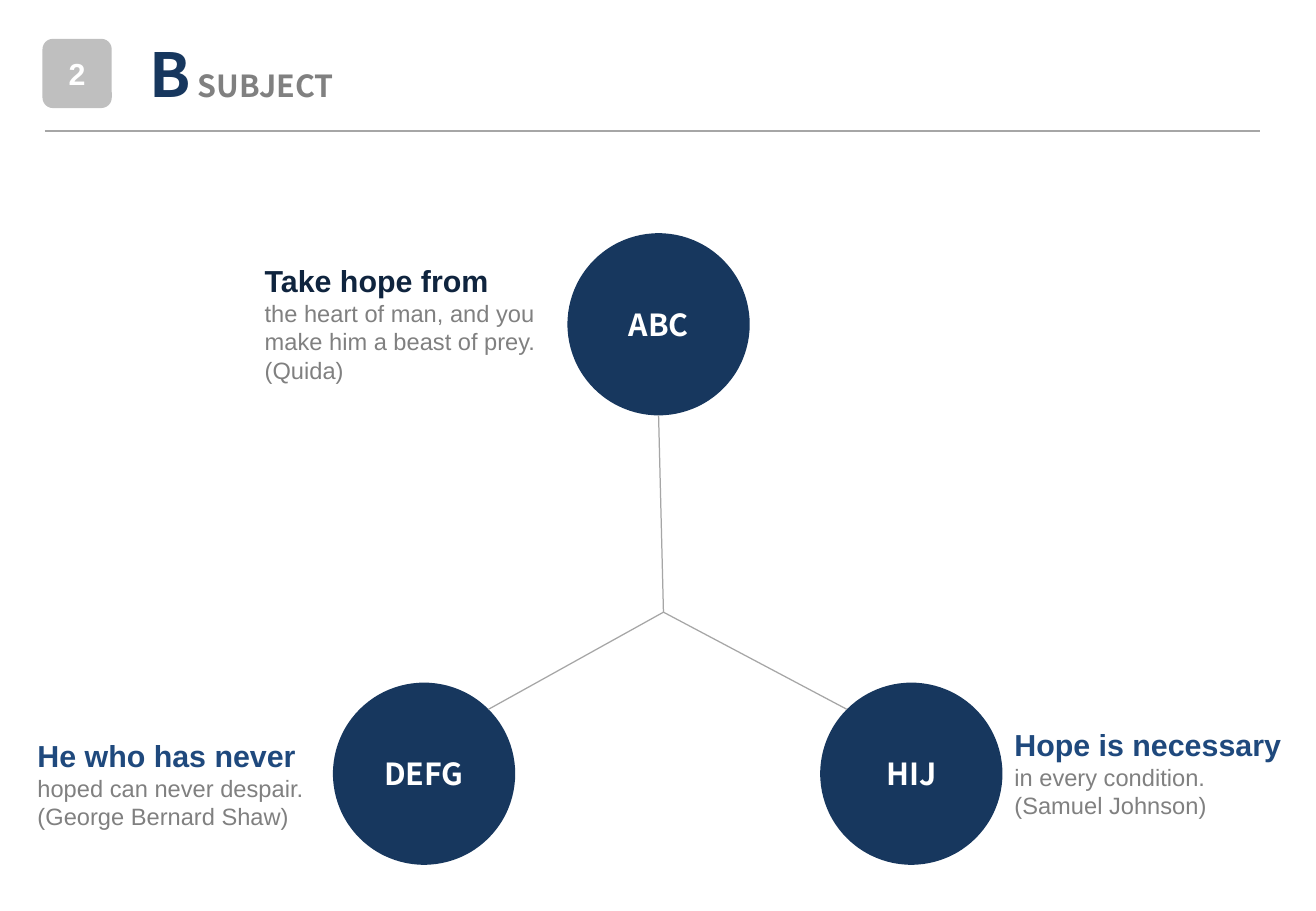
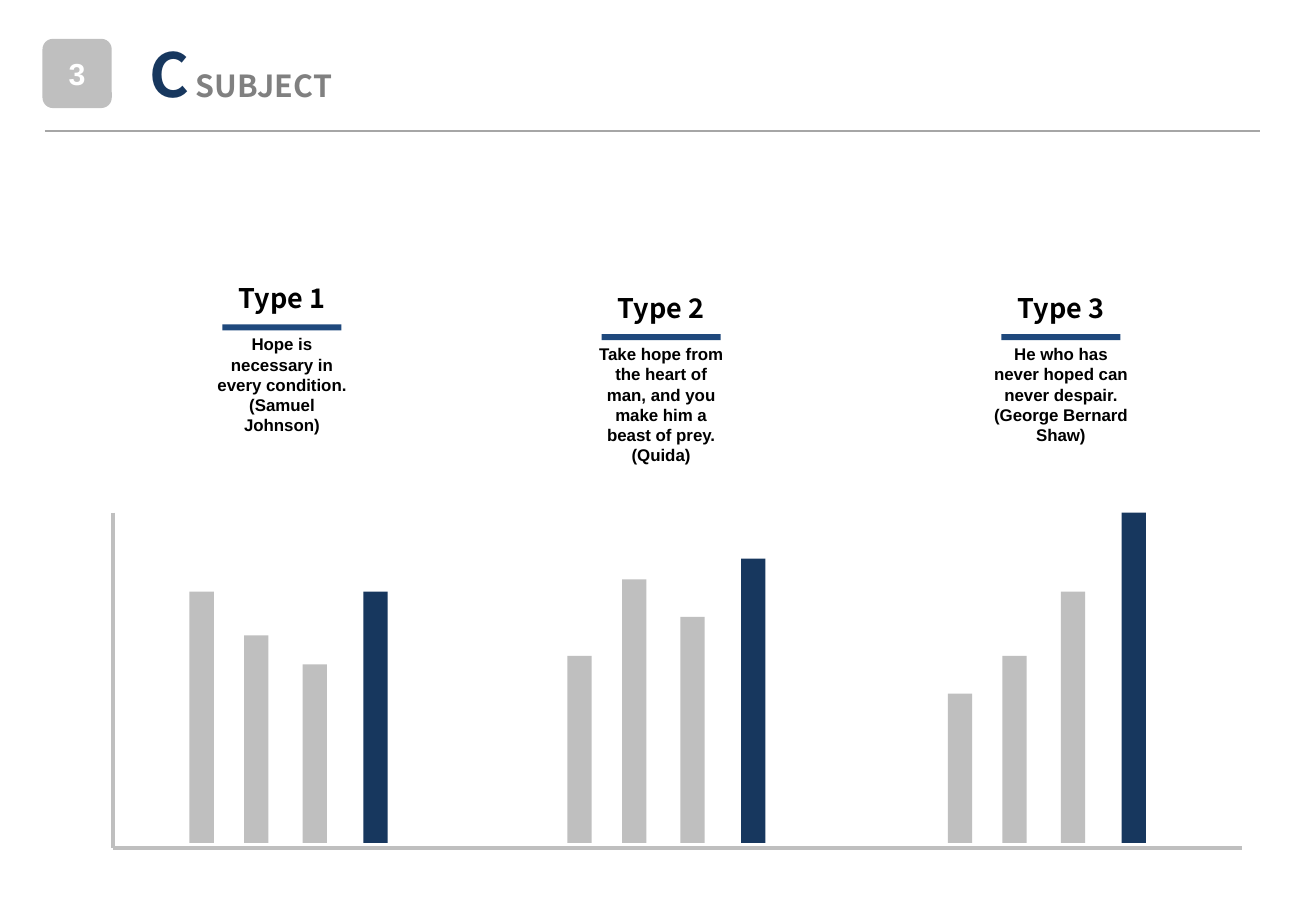
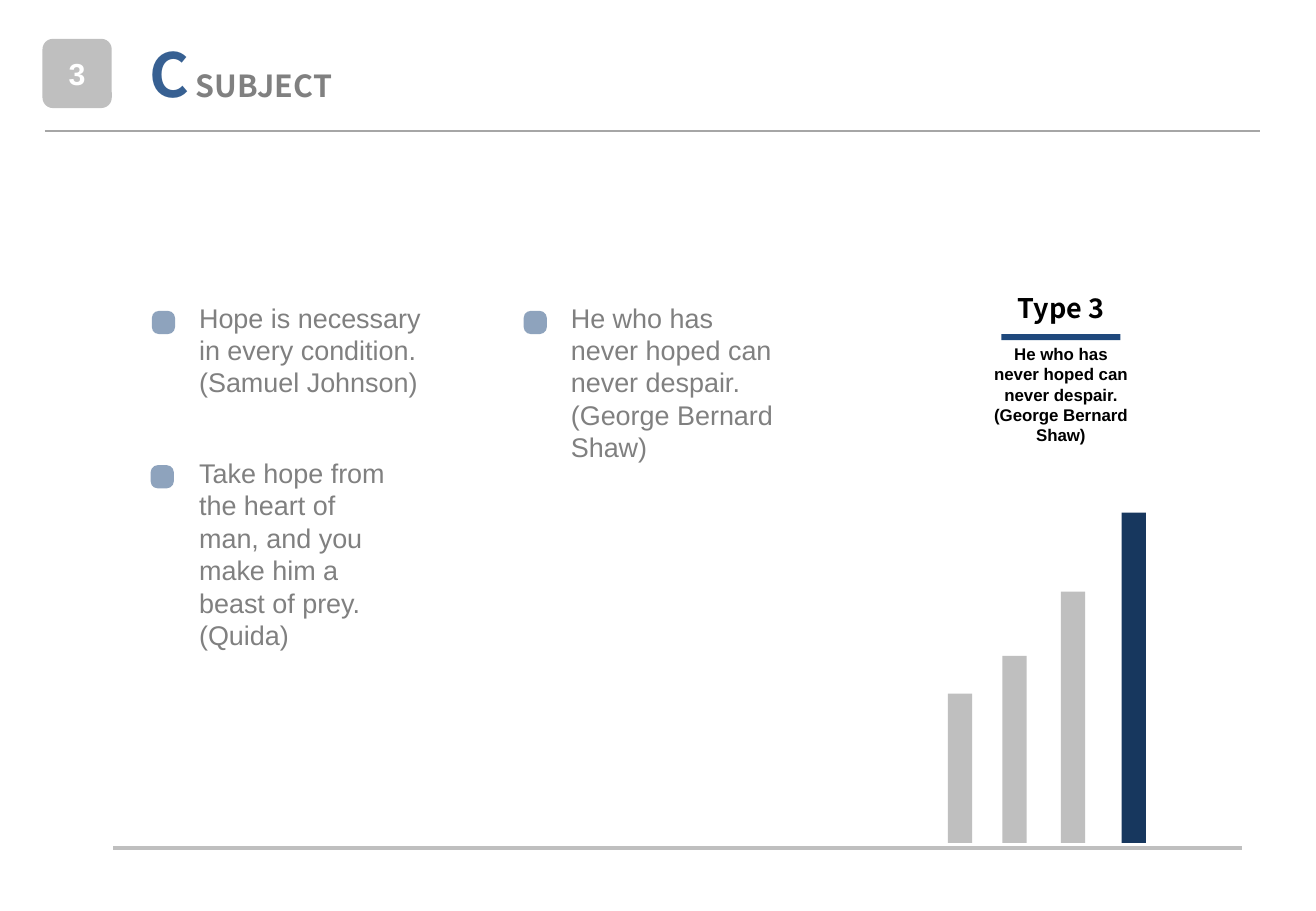
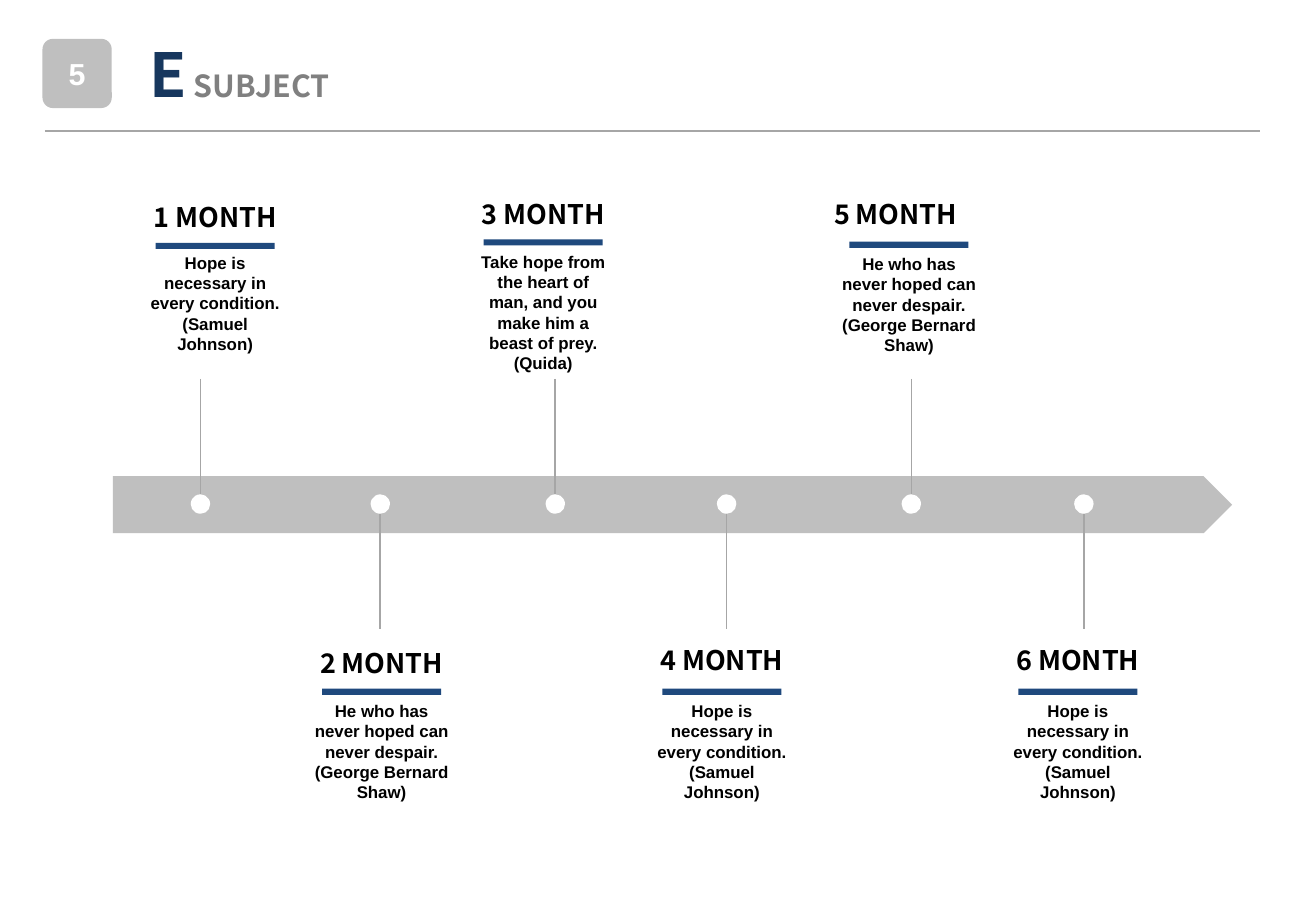
from dataclasses import dataclass
from typing import NamedTuple

from lxml.etree import SubElement
from pptx import Presentation
from pptx.dml.color import RGBColor
from pptx.enum.shapes import MSO_CONNECTOR, MSO_SHAPE as Preset
from pptx.enum.text import MSO_ANCHOR as Anchor, MSO_AUTO_SIZE as AutoSize, PP_ALIGN as Align
from pptx.oxml.ns import qn
from pptx.util import Inches, Pt

NAVY = "17375E"
BLUE = "1F497D"
TITLE_BLUE = "376092"
INK = "0F243E"
GRAY = "808080"
LINE_GRAY = "A6A6A6"
SILVER = "BFBFBF"
WHITE = "FFFFFF"
BLACK = "000000"

BODY_FONT = "Arial"
HEADING_FONT = "Noto Sans CJK KR"

SHAW = "He who has never hoped can never despair. (George Bernard Shaw)"
QUIDA = "Take hope from the heart of man, and you make him a beast of prey. (Quida)"
JOHNSON = "Hope is necessary in every condition. (Samuel Johnson)"

AXIS_LEFT, AXIS_RIGHT, AXIS_TOP, AXIS_BOTTOM = 0.93, 10.22, 4.22, 6.98
BAR_OFFSETS = (0, 0.45, 0.93, 1.43)
BAR_WIDTH = 0.2
BAR_BOTTOM = 6.94


class Box(NamedTuple):
    left: float
    top: float
    width: float
    height: float

    def lengths(self):
        return [Inches(value) for value in self]


class Point(NamedTuple):
    x: float
    y: float


@dataclass
class Note:
    """A heading, a short rule and a quote, stacked around the rule."""
    center: float
    rule_top: float
    heading: str
    quote: str
    heading_rise: float = 0.4
    heading_shift: float = 0
    quote_drop: float = 0.05


@dataclass
class BarGroup:
    left: float
    heights: tuple[float, ...]
    note: Note


@dataclass
class Milestone:
    x: float
    above: bool
    note: Note


@dataclass
class Bullet:
    marker: Point
    text_box: Box
    quote: str


TYPE_GROUPS = (
    BarGroup(1.56, (2.07, 1.71, 1.47, 2.07),
             Note(2.32, 2.67, "Type 1", JOHNSON, quote_drop=0.03)),
    BarGroup(4.67, (1.54, 2.17, 1.86, 2.34),
             Note(5.44, 2.75, "Type 2", QUIDA, quote_drop=0.03)),
    BarGroup(7.8, (1.23, 1.54, 2.07, 2.72),
             Note(8.73, 2.75, "Type 3", SHAW, quote_drop=0.03)),
)

MILESTONES = (
    Milestone(1.65, True, Note(1.77, 2, "1 MONTH", JOHNSON, quote_drop=0.03)),
    Milestone(3.13, False, Note(3.14, 5.67, "2 MONTH", SHAW)),
    Milestone(4.57, True, Note(4.47, 1.97, "3 MONTH", QUIDA, heading_rise=0.39)),
    Milestone(5.98, False, Note(5.94, 5.67, "4 MONTH", JOHNSON, heading_rise=0.42)),
    Milestone(7.5, True, Note(7.48, 1.99, "5 MONTH", SHAW, heading_rise=0.41,
                              heading_shift=-0.11)),
    Milestone(8.92, False, Note(8.87, 5.67, "6 MONTH", JOHNSON, heading_rise=0.42)),
)

BULLETS = (
    Bullet(Point(1.25, 2.56), Box(1.54, 2.43, 2.11, 0.91), JOHNSON),
    Bullet(Point(4.31, 2.56), Box(4.6, 2.43, 1.94, 1.45), SHAW),
    Bullet(Point(1.24, 3.83), Box(1.54, 3.71, 1.78, 1.72), QUIDA),
)


def rgb(color: str) -> RGBColor:
    return RGBColor.from_string(color)


def add_text(frame, text: str, *, size: float, color: str, font: str = BODY_FONT,
             bold: bool = False, align=Align.LEFT, new_paragraph: bool = False) -> None:
    """Append a run to the last paragraph, or to a new one."""
    paragraph = frame.add_paragraph() if new_paragraph else frame.paragraphs[-1]
    paragraph.alignment = align
    run = paragraph.add_run()
    run.text = text
    run.font.size = Pt(size)
    run.font.name = font
    run.font.bold = bold
    run.font.color.rgb = rgb(color)


def add_text_box(slide, box: Box):
    """Add an empty wrapping text box and return its text frame."""
    frame = slide.shapes.add_textbox(*box.lengths()).text_frame
    frame.word_wrap = True
    frame.auto_size = AutoSize.SHAPE_TO_FIT_TEXT
    return frame


def add_shape(slide, preset, box: Box, color: str, *, opacity: int = 100,
              corner: float | None = None):
    shape = slide.shapes.add_shape(preset, *box.lengths())
    shape.shadow.inherit = False
    shape.fill.solid()
    shape.fill.fore_color.rgb = rgb(color)
    shape.line.fill.background()
    if corner is not None:
        shape.adjustments[0] = corner
    if opacity < 100:
        color_element = shape.fill._xPr.find(f"{qn('a:solidFill')}/{qn('a:srgbClr')}")
        SubElement(color_element, qn("a:alpha"), val=str(opacity * 1000))
    return shape


def add_label(shape, text: str, font: str) -> None:
    shape.text_frame.vertical_anchor = Anchor.MIDDLE
    add_text(shape.text_frame, text, size=18, color=WHITE, font=font, bold=True,
             align=Align.CENTER)


def add_line(slide, start: Point, end: Point, color: str = LINE_GRAY,
             width: float = 1) -> None:
    connector = slide.shapes.add_connector(
        MSO_CONNECTOR.STRAIGHT, *[Inches(value) for value in (*start, *end)])
    connector.line.color.rgb = rgb(color)
    connector.line.width = Pt(width)
    SubElement(connector._element.spPr, qn("a:effectLst"))


def add_subject_slide(presentation, number: int, letter: str, letter_color: str = NAVY):
    """Add a slide with the shared numbered badge, title and header line."""
    slide = presentation.slides.add_slide(presentation.slide_layouts[6])
    badge = add_shape(slide, Preset.ROUNDED_RECTANGLE, Box(0.35, 0.32, 0.57, 0.57), GRAY,
                      opacity=50, corner=0.15)
    add_label(badge, str(number), BODY_FONT)
    add_line(slide, Point(0.37, 1.08), Point(10.37, 1.08))
    title = add_text_box(slide, Box(1.13, 0.25, 1.97, 0.71))
    add_text(title, letter, size=36, color=letter_color, font=HEADING_FONT, bold=True)
    add_text(title, " SUBJECT", size=18, color=GRAY, font=HEADING_FONT, bold=True)
    return slide


def add_note(slide, note: Note) -> None:
    def centered(top: float, width: float, height: float, shift: float = 0) -> Box:
        return Box(note.center + shift - width / 2, top, width, height)

    add_shape(slide, Preset.RECTANGLE, centered(note.rule_top, 0.98, 0.05), BLUE)
    heading = add_text_box(slide, centered(note.rule_top - note.heading_rise, 1.45, 0.37,
                                           note.heading_shift))
    add_text(heading, note.heading, size=16, color=BLACK, font=HEADING_FONT, bold=True,
             align=Align.CENTER)
    quote = add_text_box(slide, centered(note.rule_top + note.quote_drop, 1.31, 0.94))
    add_text(quote, note.quote, size=10, color=BLACK, bold=True, align=Align.CENTER)


def add_bar_group(slide, group: BarGroup) -> None:
    """Draw bars on a common base, the last one highlighted, and their note."""
    colors = [SILVER] * (len(group.heights) - 1) + [NAVY]
    for offset, height, color in zip(BAR_OFFSETS, group.heights, colors):
        box = Box(group.left + offset, BAR_BOTTOM - height, BAR_WIDTH, height)
        add_shape(slide, Preset.RECTANGLE, box, color)
    add_note(slide, group.note)


def add_base_axis(slide) -> None:
    add_line(slide, Point(AXIS_RIGHT, AXIS_BOTTOM), Point(AXIS_LEFT, AXIS_BOTTOM), SILVER, 2)


def build_hub_slide(presentation) -> None:
    slide = add_subject_slide(presentation, 2, "B")
    hub = Point(5.46, 5.04)
    circles = (
        ("ABC", Point(4.67, 1.92), Point(5.42, 3.42)),
        ("DEFG", Point(2.74, 5.62), Point(4.02, 5.84)),
        ("HIJ", Point(6.75, 5.62), Point(6.97, 5.84)),
    )
    for label, corner, joint in circles:
        circle = add_shape(slide, Preset.OVAL, Box(*corner, 1.5, 1.5), NAVY)
        add_label(circle, label, HEADING_FONT)
        add_line(slide, joint, hub, width=0.75)

    quotes = (
        (Box(0.21, 6.02, 2.52, 0.88), BLUE, "He who has never",
         ("hoped can never despair.", "(George Bernard Shaw)")),
        (Box(2.08, 2.11, 2.66, 1.11), INK, "Take hope from",
         ("the heart of man, and you make him a beast of prey. (Quida)",)),
        (Box(8.25, 5.93, 2.5, 0.88), BLUE, "Hope is necessary",
         ("in every condition.", "(Samuel Johnson)")),
    )
    for box, color, opening, lines in quotes:
        frame = add_text_box(slide, box)
        add_text(frame, opening, size=18, color=color, bold=True)
        for line in lines:
            add_text(frame, line, size=14, color=GRAY, new_paragraph=True)


def build_types_slide(presentation) -> None:
    slide = add_subject_slide(presentation, 3, "C")
    add_line(slide, Point(AXIS_LEFT, AXIS_TOP), Point(AXIS_LEFT, AXIS_BOTTOM), SILVER, 2)
    add_base_axis(slide)
    for group in TYPE_GROUPS:
        add_bar_group(slide, group)


def build_bullets_slide(presentation) -> None:
    slide = add_subject_slide(presentation, 3, "C", TITLE_BLUE)
    add_base_axis(slide)
    add_bar_group(slide, TYPE_GROUPS[-1])
    for bullet in BULLETS:
        add_shape(slide, Preset.ROUNDED_RECTANGLE, Box(*bullet.marker, 0.19, 0.19), BLUE,
                  opacity=50, corner=0.3)
        add_text(add_text_box(slide, bullet.text_box), bullet.quote, size=16, color=GRAY)


def build_timeline_slide(presentation) -> None:
    slide = add_subject_slide(presentation, 5, "E")
    add_shape(slide, Preset.PENTAGON, Box(AXIS_LEFT, 3.92, 9.21, 0.47), SILVER)
    dot_top, dot_size, stem = 4.07, 0.16, 0.95
    for milestone in MILESTONES:
        x = milestone.x
        add_shape(slide, Preset.OVAL, Box(x - dot_size / 2, dot_top, dot_size, dot_size), WHITE)
        stem_top = dot_top - stem if milestone.above else dot_top + dot_size
        add_line(slide, Point(x, stem_top), Point(x, stem_top + stem))
        add_note(slide, milestone.note)


def main() -> None:
    presentation = Presentation()
    presentation.slide_width = Inches(10.83)
    presentation.slide_height = Inches(7.5)
    build_hub_slide(presentation)
    build_types_slide(presentation)
    build_bullets_slide(presentation)
    build_timeline_slide(presentation)
    presentation.save("out.pptx")


if __name__ == "__main__":
    main()
